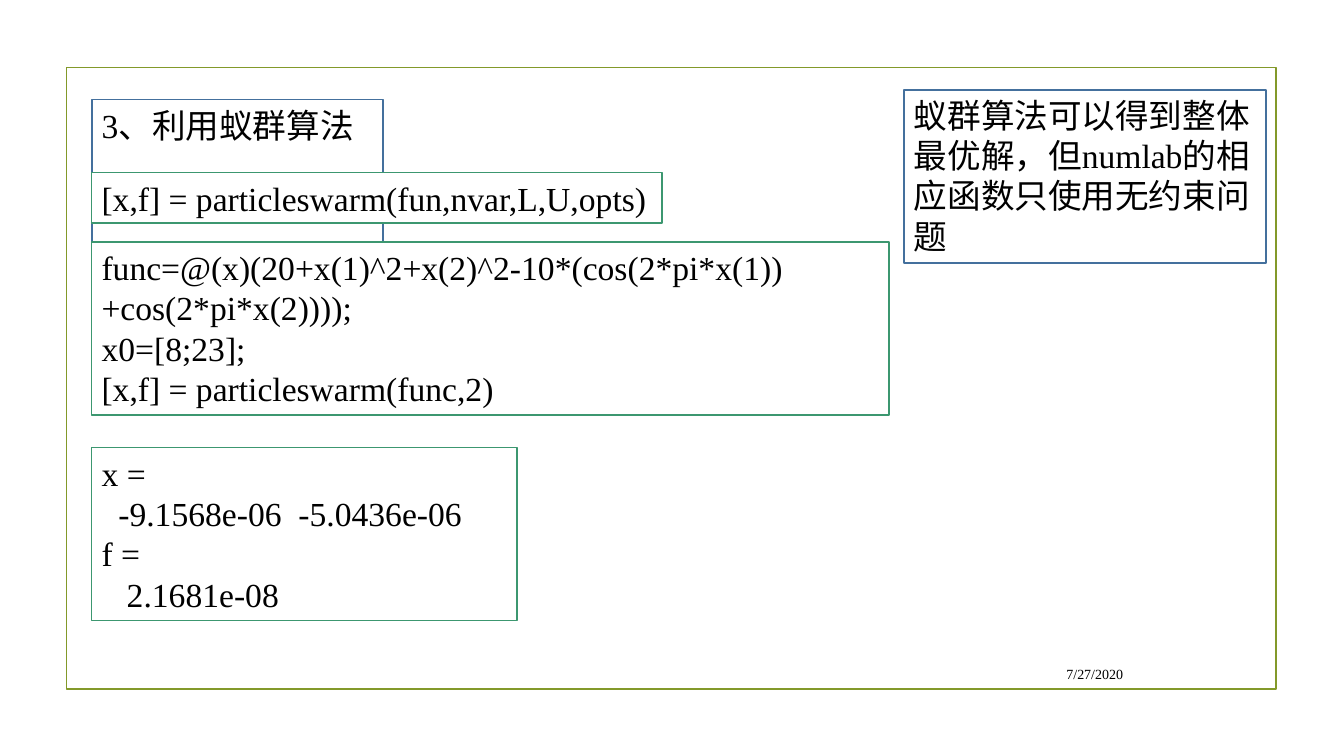
from pptx import Presentation
from pptx import util as u
from pptx.dml.color import RGBColor
from pptx.enum import shapes, text

FONT = "Times New Roman"
BLACK, WHITE = "000000", "FFFFFF"
OLIVE, BLUE, GREEN = "83992A", "44709D", "3C9770"
LEFT = 2.31


def color(value):
    """Turn a hex string into a colour."""
    return RGBColor.from_string(value)


def place(shape, left, top, width, height):
    """Set position and size in centimetres."""
    shape.left, shape.top = u.Cm(left), u.Cm(top)
    shape.width, shape.height = u.Cm(width), u.Cm(height)


def outline(shape, line):
    """Give a shape its coloured border."""
    shape.line.color.rgb = color(line)
    shape.line.width = u.Pt(1.25)


def write(shape, lines, size=24, align=text.PP_ALIGN.LEFT, anchor=text.MSO_ANCHOR.TOP, wrap=True):
    """Write lines as paragraphs and format them."""
    frame = shape.text_frame
    frame.text = "\n".join(lines)
    frame.word_wrap = wrap
    frame.vertical_anchor = anchor
    for para in frame.paragraphs:
        para.alignment = align
        for span in para.runs:
            span.font.name = FONT
            span.font.size = u.Pt(size)
            span.font.color.rgb = color(BLACK)


def panel(shape, lines, line, wrap=True):
    """Style a shape as a white bordered panel that fits its text."""
    shape.fill.solid()
    shape.fill.fore_color.rgb = color(WHITE)
    outline(shape, line)
    write(shape, lines, wrap=wrap)
    shape.text_frame.auto_size = text.MSO_AUTO_SIZE.SHAPE_TO_FIT_TEXT


def add_frame(page):
    """Draw the unfilled border around the page."""
    frame = add_rectangle(page, 1.68, 1.7, 30.48, 15.67)
    frame.fill.background()
    outline(frame, OLIVE)


def add_rectangle(page, left, top, width, height):
    """Add a rectangle without shadow."""
    box = page.shapes.add_shape(shapes.MSO_SHAPE.RECTANGLE, 0, 0, 0, 0)
    place(box, left, top, width, height)
    box.shadow.inherit = False
    return box


def add_date(page, date):
    """Add the small date at the lower right."""
    box = page.shapes.add_textbox(0, 0, 0, 0)
    place(box, 24.1, 16.59, 4.45, 0.79)
    write(box, [date], 10, text.PP_ALIGN.RIGHT, text.MSO_ANCHOR.MIDDLE)


def main():
    """Build the slide and save it."""
    deck = Presentation()
    deck.slide_width, deck.slide_height = u.Cm(33.87), u.Cm(19.05)
    page = deck.slides.add_slide(deck.slide_layouts[5])
    add_frame(page)
    add_date(page, "7/27/2020")

    title = page.shapes.title
    place(title, LEFT, 2.51, 7.35, 1.28)
    panel(title, ["3、利用蚁群算法"], BLUE)

    syntax = add_rectangle(page, LEFT, 4.35, 14.38, 1.28)
    panel(syntax, ["[x,f] = particleswarm(fun,nvar,L,U,opts)"], GREEN, wrap=False)

    example = add_rectangle(page, LEFT, 6.1, 20.1, 4.36)
    panel(example, [
        "func=@(x)(20+x(1)^2+x(2)^2-10*(cos(2*pi*x(1))+cos(2*pi*x(2))));",
        "x0=[8;23];",
        "[x,f] = particleswarm(func,2)",
    ], GREEN)

    result = add_rectangle(page, LEFT, 11.28, 10.72, 4.36)
    panel(result, ["x =", "  -9.1568e-06  -5.0436e-06", "f =", "   2.1681e-08"], GREEN)

    remark = add_rectangle(page, 22.78, 2.26, 9.12, 4.36)
    panel(remark, ["蚁群算法可以得到整体最优解，但numlab的相应函数只使用无约束问题"], BLUE)

    deck.save("out.pptx")


if __name__ == "__main__":
    main()
